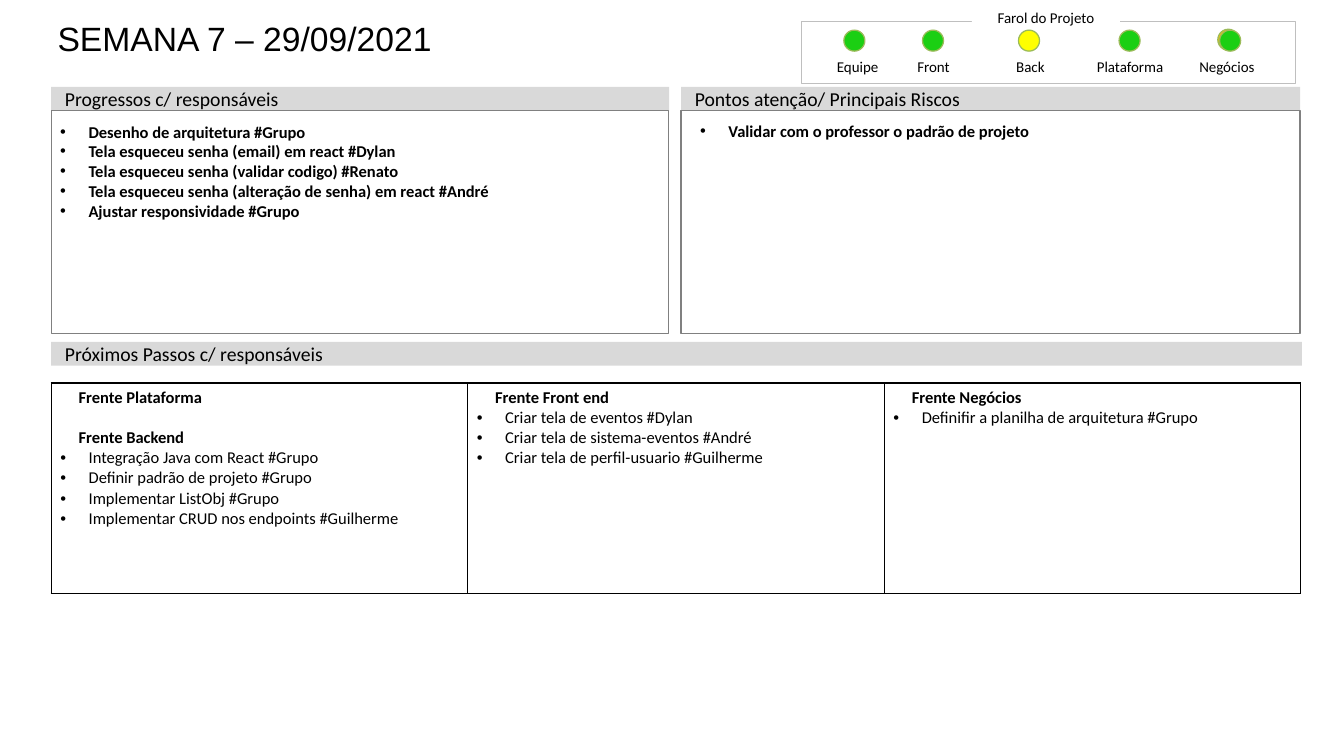
from lxml.etree import SubElement
from pptx import Presentation
from pptx.dml.color import RGBColor
from pptx.enum.shapes import MSO_SHAPE
from pptx.enum.text import MSO_ANCHOR, PP_ALIGN
from pptx.oxml import parse_xml
from pptx.oxml.ns import nsdecls, qn
from pptx.util import Inches, Pt

COLORS = {
    "text": "000000", "band": "D9D9D9", "panel": "808080", "legend": "BFBFBF",
    "white": "FFFFFF", "rim": "9BBB59", "green": "1BCF13", "amber": "FFC000",
    "yellow": "FFFF00",
}


def add_box(kind, left, top, width, height, fill=None, line=None, weight=1):
    """Add a preset shape with an optional fill and outline."""
    box = slide.shapes.add_shape(
        kind, Inches(left), Inches(top), Inches(width), Inches(height))
    box.shadow.inherit = False
    if fill:
        box.fill.solid()
        box.fill.fore_color.rgb = RGBColor.from_string(COLORS[fill])
    else:
        box.fill.background()
    if line:
        box.line.color.rgb = RGBColor.from_string(COLORS[line])
        box.line.width = Pt(weight)
    else:
        box.line.fill.background()
    return box


def write(frame, lines, size, font="Calibri", bold=False, bullets=False,
          align=PP_ALIGN.LEFT, anchor=MSO_ANCHOR.TOP, insets=(0.1, 0.05, 0.1, 0.05),
          wrap=True):
    """Fill a text frame with one paragraph per line, bulleted if asked."""
    frame.text = "\n".join(lines)
    frame.word_wrap = wrap
    frame.vertical_anchor = anchor
    (frame.margin_left, frame.margin_top,
     frame.margin_right, frame.margin_bottom) = map(Inches, insets)
    for paragraph in frame.paragraphs:
        paragraph.alignment = align
        paragraph.font.size = Pt(size)
        for run in paragraph.runs:
            run.font.name = font
            run.font.size = Pt(size)
            run.font.bold = bold
            run.font.color.rgb = RGBColor.from_string(COLORS["text"])
        if bullets:
            properties = paragraph._p.get_or_add_pPr()
            properties.set("marL", str(Inches(0.31)))
            properties.set("indent", str(-Inches(0.31)))
            SubElement(properties, qn("a:buFont")).set("typeface", "Arial")
            SubElement(properties, qn("a:buChar")).set("char", "•")


presentation = Presentation()
presentation.slide_width = Inches(14.7)
presentation.slide_height = Inches(8.27)
slide = presentation.slides.add_slide(presentation.slide_layouts[6])

title = slide.shapes.add_textbox(Inches(0.51), Inches(0.2), Inches(13.23), Inches(0.87))
write(title.text_frame, ["SEMANA 7 – 29/09/2021"], 26.5, font="Arial",
      insets=(0.12, 0, 0.12, 0))

# Section bands and the two panels below the upper ones
for heading, left, top, width in [
    ("Progressos c/ responsáveis", 0.56, 0.95, 6.76),
    ("Pontos atenção/ Principais Riscos", 7.45, 0.95, 6.77),
    ("Próximos Passos c/ responsáveis", 0.56, 3.74, 13.68),
]:
    band = add_box(MSO_SHAPE.RECTANGLE, left, top, width, 0.26, fill="band")
    write(band.text_frame, [heading], 15.5, anchor=MSO_ANCHOR.MIDDLE,
          insets=(0.15, 0.07, 0.15, 0.07))

progress = add_box(MSO_SHAPE.RECTANGLE, 0.56, 1.21, 6.75, 2.44, line="panel")
write(progress.text_frame, [
    "Desenho de arquitetura #Grupo",
    "Tela esqueceu senha (email) em react #Dylan",
    "Tela esqueceu senha (validar codigo) #Renato",
    "Tela esqueceu senha (alteração de senha) em react #André",
    "Ajustar responsividade #Grupo",
], 13, bold=True, bullets=True, insets=(0.1, 0.12, 0.1, 0.05))

add_box(MSO_SHAPE.RECTANGLE, 7.45, 1.21, 6.77, 2.44, line="panel")
risks = slide.shapes.add_textbox(Inches(7.56), Inches(1.27), Inches(5.26), Inches(0.32))
write(risks.text_frame, ["Validar com o professor o padrão de projeto"], 13,
      bold=True, bullets=True)

# Next steps: one column per group of work fronts
next_steps = [
    ["Frente Plataforma", "Frente Backend", "Integração Java com React #Grupo",
     "Definir padrão de projeto #Grupo", "Implementar ListObj #Grupo",
     "Implementar CRUD nos endpoints #Guilherme"],
    ["Frente Front end", "Criar tela de eventos #Dylan",
     "Criar tela de sistema-eventos #André",
     "Criar tela de perfil-usuario #Guilherme"],
    ["Frente Negócios", "Definifir a planilha de arquitetura #Grupo"],
]
steps_table = slide.shapes.add_table(
    1, 3, Inches(0.56), Inches(4.19), Inches(13.67), Inches(2.3)).table
steps_table.first_row = False
steps_table.horz_banding = False
for cell, steps in zip(steps_table.rows[0].cells, next_steps):
    write(cell.text_frame, steps, 13, bullets=True)
    cell.margin_left = cell.margin_right = Inches(0.1)
    cell.margin_top = cell.margin_bottom = Inches(0.05)
    cell.vertical_anchor = MSO_ANCHOR.TOP
    for paragraph in cell.text_frame.paragraphs:
        if paragraph.text.startswith("Frente"):
            properties = paragraph._p.pPr
            for bullet_part in ("a:buFont", "a:buChar"):
                properties.remove(properties.find(qn(bullet_part)))
            properties.set("marL", str(Inches(0.2)))
            properties.set("indent", "0")
            paragraph.runs[0].font.bold = True
        if paragraph.text == "Frente Backend":
            paragraph.space_before = Pt(16)
    cell.fill.background()
    for position, side in enumerate(["lnL", "lnR", "lnT", "lnB"]):
        cell._tc.get_or_add_tcPr().insert(position, parse_xml(
            f'<a:{side} {nsdecls("a")} w="12700"><a:solidFill>'
            f'<a:srgbClr val="{COLORS["text"]}"/></a:solidFill></a:{side}>'))
for column in steps_table.columns:
    column.width = Inches(13.67 / 3)

# Project status lights
label_style = dict(align=PP_ALIGN.CENTER, anchor=MSO_ANCHOR.BOTTOM,
                   insets=(0.06, 0.06, 0.06, 0), wrap=False)
add_box(MSO_SHAPE.RECTANGLE, 8.77, 0.23, 5.4, 0.68, line="legend", weight=0.5)
legend_title = add_box(MSO_SHAPE.RECTANGLE, 10.63, 0.06, 1.62, 0.23, fill="white")
write(legend_title.text_frame, ["Farol do Projeto"], 11.8, **label_style)

add_box(MSO_SHAPE.OVAL, 13.32, 0.32, 0.23, 0.23, fill="amber", line="rim")
for area, label_left, light_left, status in [
    ("Equipe", 8.89, 9.23, "green"),
    ("Front", 9.72, 10.09, "green"),
    ("Back", 10.78, 11.14, "yellow"),
    ("Plataforma", 11.87, 12.24, "green"),
    ("Negócios", 12.93, 13.34, "green"),
]:
    add_box(MSO_SHAPE.OVAL, light_left, 0.33, 0.23, 0.23, fill=status, line="rim")
    label = slide.shapes.add_textbox(
        Inches(label_left), Inches(0.63), Inches(0.98), Inches(0.2))
    write(label.text_frame, [area], 11.8, **label_style)

presentation.save("out.pptx")
